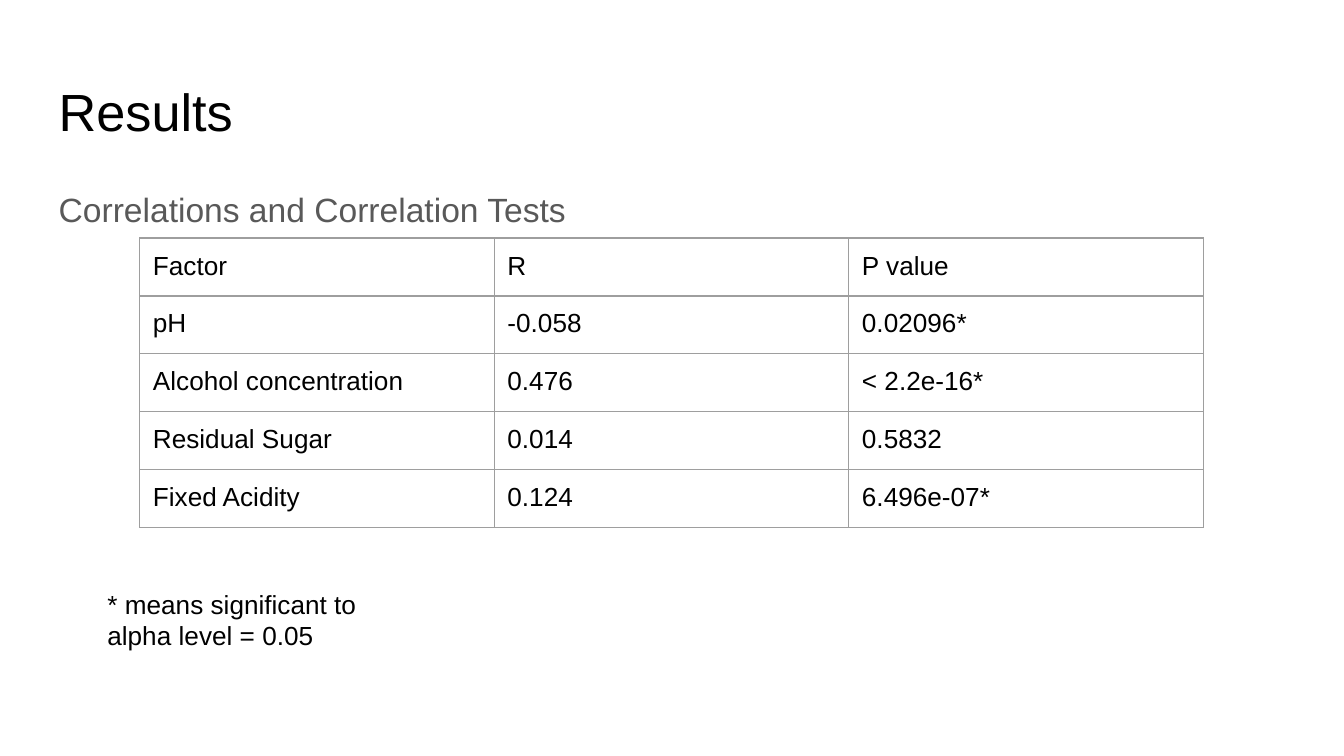
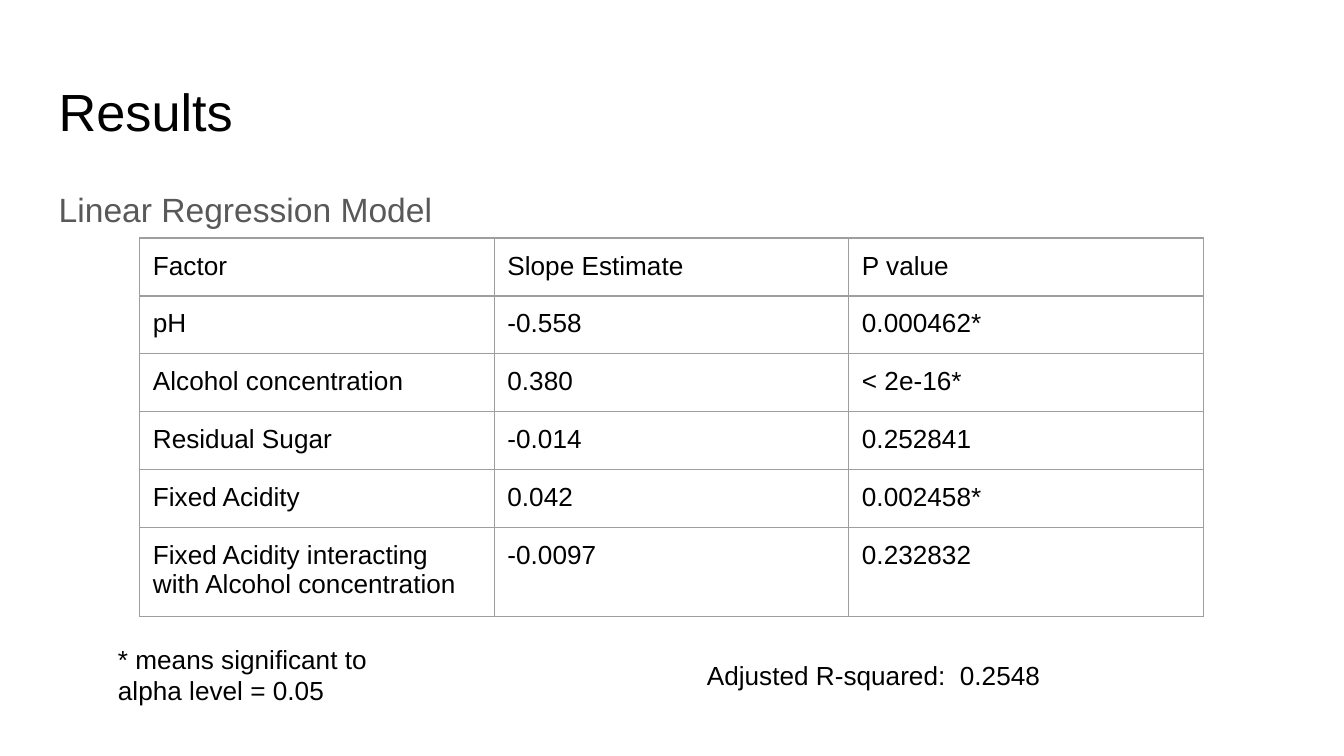
from dataclasses import dataclass

from lxml import etree
from pptx import Presentation
from pptx import util as u
from pptx.dml import color
from pptx.enum import text
from pptx.oxml import ns


@dataclass(frozen=True)
class Theme:
    """Hold the colours, type sizes and spacing of the deck."""
    font: str = "Arial"
    ink: str = "000000"
    grey: str = "595959"
    rule: str = "9E9E9E"
    head: int = 28
    lead: int = 18
    base: int = 14
    line: float = 0.75
    pad: float = 0.25


THEME = Theme()
WIDE, HIGH = 25.4, 14.29
TITLE = (0.86, 1.24, 23.67, 1.6)
BODY = (0.86, 3.2, 23.67, 9.5)
GRID = (2.64, 4.5, 20.1, 1.06)
STAR = "* means significant to alpha level = 0.05"

SLIDES = [
    {
        "lead": "Correlations and Correlation Tests",
        "rows": [
            ("Factor", "R", "P value"),
            ("pH", "-0.058", "0.02096*"),
            ("Alcohol concentration", "0.476", "< 2.2e-16*"),
            ("Residual Sugar", "0.014", "0.5832"),
            ("Fixed Acidity", "0.124", "6.496e-07*"),
        ],
        "notes": [(STAR, (1.78, 10.87, 5.54, 1.6))],
    },
    {
        "lead": "Linear Regression Model",
        "rows": [
            ("Factor", "Slope Estimate", "P value"),
            ("pH", "-0.558", "0.000462*"),
            ("Alcohol concentration", "0.380", "< 2e-16*"),
            ("Residual Sugar", "-0.014", "0.252841"),
            ("Fixed Acidity", "0.042", "0.002458*"),
            ("Fixed Acidity interacting with Alcohol concentration",
             "-0.0097", "0.232832"),
        ],
        "notes": [
            (STAR, (1.98, 11.91, 6.2, 1.24)),
            ("Adjusted R-squared:  0.2548", (13.11, 12.22, 7.29, 1.37)),
        ],
    },
]


def style(para, size, tint):
    """Format every run of a paragraph."""
    for run in para.runs:
        run.font.name = THEME.font
        run.font.size = u.Pt(size)
        run.font.color.rgb = color.RGBColor.from_string(tint)


def inset(part):
    """Give a text frame or a cell equal margins."""
    part.margin_left = part.margin_right = u.Cm(THEME.pad)
    part.margin_top = part.margin_bottom = u.Cm(THEME.pad)


def label(slide, box, words, size=THEME.base, tint=THEME.ink):
    """Add wrapped text in a box and return its paragraph."""
    frame = slide.shapes.add_textbox(*map(u.Cm, box)).text_frame
    frame.word_wrap = True
    frame.vertical_anchor = text.MSO_ANCHOR.TOP
    inset(frame)
    frame.text = words
    para = frame.paragraphs[0]
    style(para, size, tint)
    return para


def border(cell):
    """Draw a thin rule on the four sides of a cell."""
    props = cell._tc.get_or_add_tcPr()
    for spot, side in enumerate(("a:lnL", "a:lnR", "a:lnT", "a:lnB")):
        edge = etree.Element(ns.qn(side), w=str(u.Pt(THEME.line)))
        fill = etree.SubElement(edge, ns.qn("a:solidFill"))
        etree.SubElement(fill, ns.qn("a:srgbClr"), val=THEME.rule)
        props.insert(spot, edge)


def grid(slide, box, rows):
    """Add a ruled table whose box gives the height of one row."""
    left, top, width, step = box
    frame = slide.shapes.add_table(
        len(rows), len(rows[0]),
        *map(u.Cm, (left, top, width, step * len(rows))))
    table = frame.table
    table.first_row = table.horz_banding = False
    for row, words in zip(table.rows, rows):
        row.height = u.Cm(step)
        for cell, word in zip(row.cells, words):
            cell.text = word
            cell.fill.background()
            inset(cell)
            border(cell)
            style(cell.text_frame.paragraphs[0], THEME.base, THEME.ink)


def result(slide, lead, rows, notes):
    """Lay out one slide of results."""
    label(slide, TITLE, "Results", THEME.head)
    para = label(slide, BODY, lead, THEME.lead, THEME.grey)
    para.line_spacing = 1.15
    grid(slide, GRID, rows)
    for words, box in notes:
        label(slide, box, words)


def main():
    """Build the deck and save it."""
    deck = Presentation()
    deck.slide_width, deck.slide_height = u.Cm(WIDE), u.Cm(HIGH)
    for data in SLIDES:
        result(deck.slides.add_slide(deck.slide_layouts[6]), **data)
    deck.save("out.pptx")


if __name__ == "__main__":
    main()
